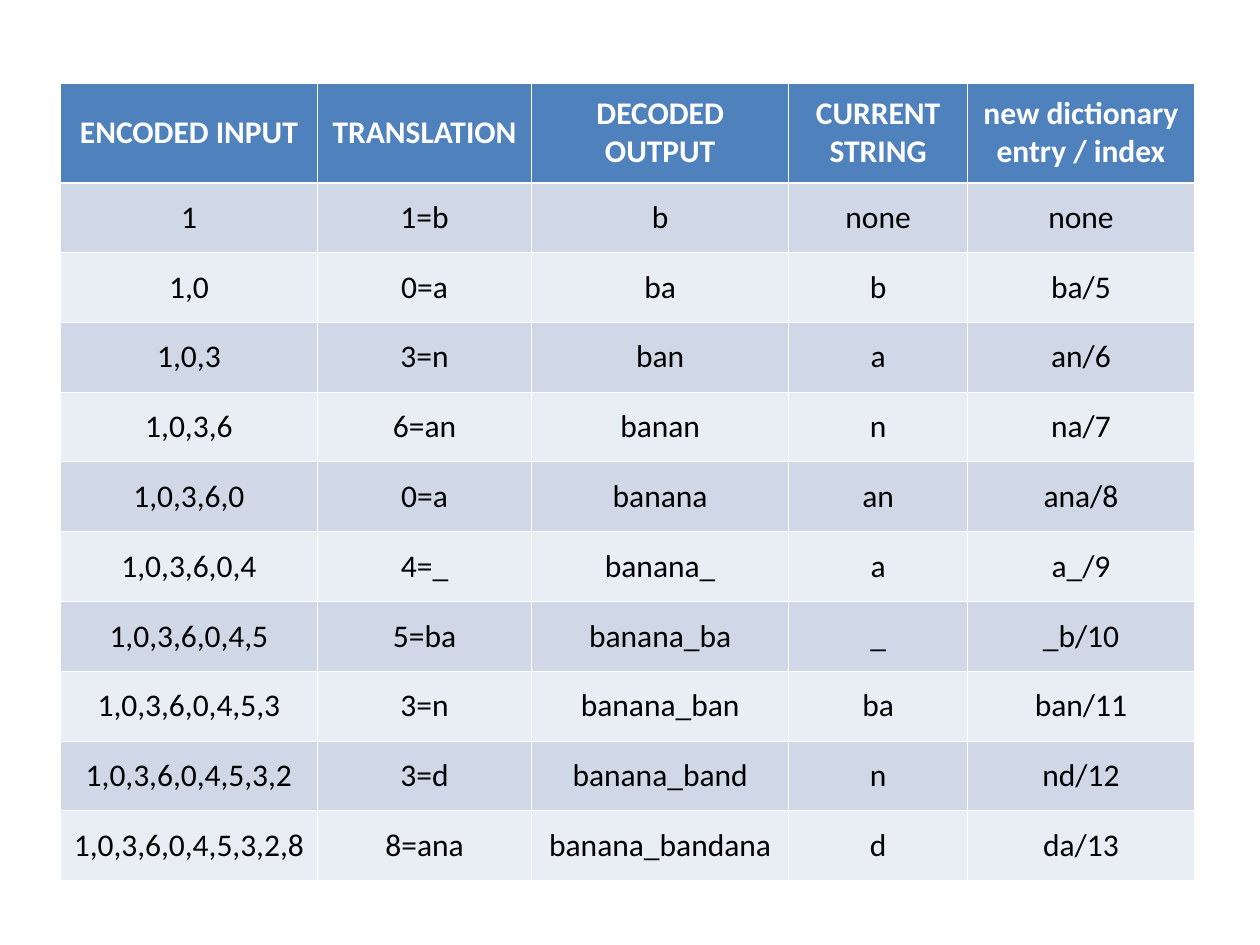
from lxml import etree
from pptx import Presentation
from pptx.dml.color import RGBColor
from pptx.enum.text import MSO_ANCHOR, PP_ALIGN
from pptx.oxml.ns import qn
from pptx.util import Inches, Pt

MIDDLE = MSO_ANCHOR.MIDDLE
CENTER = PP_ALIGN.CENTER

COLORS = {
    "header": "4F81BD",
    "odd": "D0D8E8",
    "even": "E9EDF4",
    "rule": "FFFFFF",
    "header_text": "FFFFFF",
    "body_text": "000000",
}
THIN, THICK = 0.45, 1.47

# Decoding steps, one row for each code read
HEADER = ["ENCODED INPUT", "TRANSLATION", "DECODED OUTPUT", "CURRENT STRING",
          "new dictionary entry / index"]
STEPS = [
    ["1", "1=b", "b", "none", "none"],
    ["1,0", "0=a", "ba", "b", "ba/5"],
    ["1,0,3", "3=n", "ban", "a", "an/6"],
    ["1,0,3,6", "6=an", "banan", "n", "na/7"],
    ["1,0,3,6,0", "0=a", "banana", "an", "ana/8"],
    ["1,0,3,6,0,4", "4=_", "banana_", "a", "a_/9"],
    ["1,0,3,6,0,4,5", "5=ba", "banana_ba", "_", "_b/10"],
    ["1,0,3,6,0,4,5,3", "3=n", "banana_ban", "ba", "ban/11"],
    ["1,0,3,6,0,4,5,3,2", "3=d", "banana_band", "n", "nd/12"],
    ["1,0,3,6,0,4,5,3,2,8", "8=ana", "banana_bandana", "d", "da/13"],
]
COLUMN_WIDTHS = [2.04, 1.7, 2.04, 1.42, 1.8]
TABLE_HEIGHT, HEADER_HEIGHT = 6.33, 0.79


def apply(target, values):
    for name, value in values.items():
        setattr(target, name, value)


class SlideBuilder:
    cell_format = {
        "vertical_anchor": MIDDLE,
        "margin_left": Inches(0.1), "margin_right": Inches(0.1),
        "margin_top": Inches(0.05), "margin_bottom": Inches(0.05),
    }
    para_format = {"alignment": CENTER, "space_before": Pt(4.5)}
    font_format = {"name": "Calibri", "size": Pt(18)}

    def __init__(self, deck):
        self.page = deck.slides.add_slide(deck.slide_layouts[6])

    def borders(self, cell, top, bottom):
        properties = cell._tc.get_or_add_tcPr()
        widths = {"lnL": THIN, "lnR": THIN, "lnT": top, "lnB": bottom}
        for side, width in widths.items():
            line = etree.SubElement(properties, qn(f"a:{side}"), w=str(Pt(width)))
            fill = etree.SubElement(line, qn("a:solidFill"))
            etree.SubElement(fill, qn("a:srgbClr"), val=COLORS["rule"])

    def cell(self, cell, text, row):
        is_header = row == 0
        band = "header" if is_header else "odd" if row % 2 else "even"
        apply(cell, self.cell_format)
        # Borders come before the fill in the cell properties
        self.borders(cell, THICK if row == 1 else THIN, THICK if is_header else THIN)
        cell.fill.solid()
        cell.fill.fore_color.rgb = RGBColor.from_string(COLORS[band])

        para = cell.text_frame.paragraphs[0]
        apply(para, self.para_format)
        span = para.add_run()
        span.text = text
        apply(span.font, {**self.font_format, "bold": is_header})
        ink = "header_text" if is_header else "body_text"
        span.font.color.rgb = RGBColor.from_string(COLORS[ink])

    def table(self, left, top, widths, heights, rows):
        table = self.page.shapes.add_table(
            len(rows), len(widths), Inches(left), Inches(top),
            Inches(sum(widths)), Inches(sum(heights))).table
        for column, width in zip(table.columns, widths):
            column.width = Inches(width)
        for row, height in zip(table.rows, heights):
            row.height = Inches(height)
        for row, texts in enumerate(rows):
            for column, text in enumerate(texts):
                self.cell(table.cell(row, column), text, row)


def main():
    deck = Presentation()
    deck.slide_width, deck.slide_height = Inches(10), Inches(7.5)

    # Decoding table: header row, then equal rows
    step_height = (TABLE_HEIGHT - HEADER_HEIGHT) / len(STEPS)
    heights = [HEADER_HEIGHT] + [step_height] * len(STEPS)
    SlideBuilder(deck).table(0.48, 0.66, COLUMN_WIDTHS, heights, [HEADER] + STEPS)

    deck.save("out.pptx")


if __name__ == "__main__":
    main()
